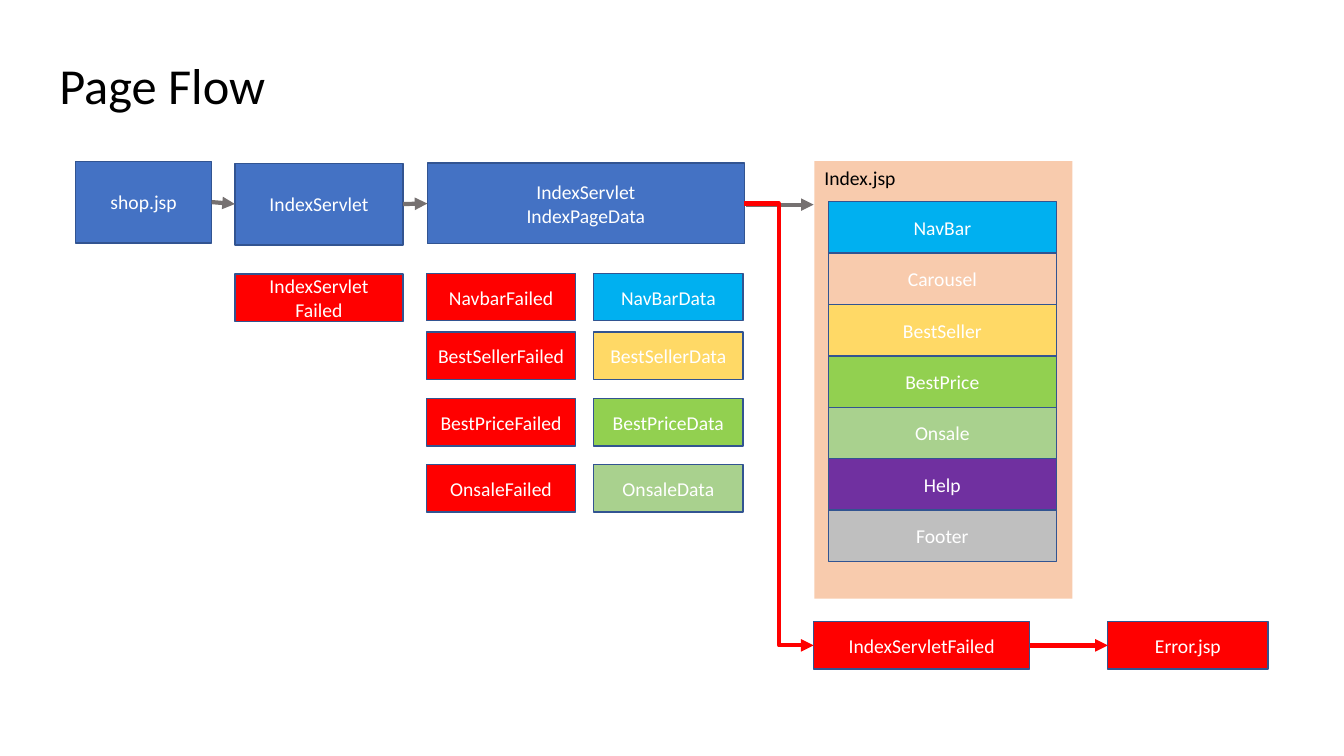
import pptx
import pptx.util
import pptx.dml.color
import pptx.enum.shapes
import pptx.enum.text
import pptx.oxml

Pt = pptx.util.Pt
Align = pptx.enum.text.PP_ALIGN
Anchor = pptx.enum.text.MSO_ANCHOR
Link = pptx.enum.shapes.MSO_CONNECTOR

THEME = {
    "font": "Calibri", "title size": 36, "body size": 14,
    "edge": "325491", "edge width": 1, "arrow width": 3,
    "black": "000000", "white": "FFFFFF", "grey": "767171", "red": "FF0000",
    "blue": "4472C4", "sky": "00B0F0", "peach": "F8CBAD", "yellow": "FFD966",
    "green": "92D050", "sage": "A9D18E", "purple": "7030A0", "silver": "BFBFBF",
}

# name: (lines, fill, (left, top, width, height))
STEPS = {
    "shop": (["shop.jsp"], "blue", (54, 115.2, 97.2, 58.3)),
    "servlet": (["IndexServlet"], "blue", (167.8, 116.6, 120.2, 58.3)),
    "page data": (["IndexServlet", "IndexPageData"], "blue", (305.3, 116.6, 226.4, 57.6)),
    "servlet error": (["IndexServlet", "Failed"], "red", (167.8, 195.8, 120.2, 33.8)),
    "failed": (["IndexServletFailed"], "red", (581.2, 444.1, 154.4, 33.8)),
    "error page": (["Error.jsp"], "red", (791.3, 444.1, 114.5, 33.8)),
}
# failure, data, data colour, top
LOADS = [
    ("NavbarFailed", "NavBarData", "sky", 195.4),
    ("BestSellerFailed", "BestSellerData", "yellow", 237.2),
    ("BestPriceFailed", "BestPriceData", "green", 284.8),
    ("OnsaleFailed", "OnsaleData", "sage", 331.9),
]
SECTIONS = [
    ("NavBar", "sky"), ("Carousel", "peach"), ("BestSeller", "yellow"),
    ("BestPrice", "green"), ("Onsale", "sage"), ("Help", "purple"), ("Footer", "silver"),
]
# start, end, connector kind, colour
ARROWS = [
    ("shop", "servlet", Link.STRAIGHT, "grey"),
    ("servlet", "page data", Link.STRAIGHT, "grey"),
    ("page data", "failed", Link.ELBOW, "red"),
    ("failed", "error page", Link.STRAIGHT, "red"),
]
LOAD_LEFTS, LOAD_SIZE = (304.6, 424.1), (106.6, 33.8)
PANEL = (581.8, 115.2, 184.3, 312.5)
SECTION_LEFT, SECTION_TOP, SECTION_SIZE = 591.8, 144, (162.7, 36.75)
LEFT_SITE, RIGHT_SITE = 1, 3


def color(name):
    """Return a theme colour."""
    return pptx.dml.color.RGBColor.from_string(THEME[name])


def assign(target, values):
    """Set each attribute named in a dict."""
    for name, value in values.items():
        setattr(target, name, value)


def write(box, lines, ink, size, align, anchor):
    """Write one paragraph for each line."""
    assign(box.text_frame, {"word_wrap": True, "vertical_anchor": anchor})
    for index, line in enumerate(lines):
        para = box.text_frame.add_paragraph() if index else box.text_frame.paragraphs[0]
        para.alignment = align
        span = para.add_run()
        span.text = line
        assign(span.font, {"name": THEME["font"], "size": Pt(THEME[size])})
        span.font.color.rgb = color(ink)


def rectangle(slide, place, fill):
    """Draw a filled rectangle without outline or shadow."""
    box = slide.shapes.add_shape(
        pptx.enum.shapes.MSO_SHAPE.RECTANGLE, *map(Pt, place))
    box.shadow.inherit = False
    box.fill.solid()
    box.fill.fore_color.rgb = color(fill)
    box.line.fill.background()
    return box


def block(slide, lines, fill, place):
    """Draw an outlined block with centred white text."""
    box = rectangle(slide, place, fill)
    box.line.color.rgb = color("edge")
    box.line.width = Pt(THEME["edge width"])
    write(box, lines, "white", "body size", Align.CENTER, Anchor.MIDDLE)
    return box


def arrow(slide, kind, ink, points=(0, 0, 0, 0)):
    """Draw a connector with a triangle at its end."""
    link = slide.shapes.add_connector(kind, *map(Pt, points))
    link.line.color.rgb = color(ink)
    link.line.width = Pt(THEME["arrow width"])
    namespace = 'xmlns:a="http://schemas.openxmlformats.org/drawingml/2006/main"'
    link.line._get_or_add_ln().append(
        pptx.oxml.parse_xml(f'<a:tailEnd {namespace} type="triangle"/>'))
    link._element.spPr.append(pptx.oxml.parse_xml(f"<a:effectLst {namespace}/>"))
    return link


def build():
    """Build and save the page flow slide."""
    deck = pptx.Presentation()
    assign(deck, {"slide_width": Pt(960), "slide_height": Pt(540)})
    page = deck.slides.add_slide(deck.slide_layouts[6])

    title = page.shapes.add_textbox(*map(Pt, (35.3, 35.3, 294.5, 51)))
    write(title, ["Page Flow"], "black", "title size", Align.LEFT, Anchor.TOP)

    panel = rectangle(page, PANEL, "peach")
    write(panel, ["Index.jsp"], "black", "body size", Align.LEFT, Anchor.TOP)
    for row, (name, fill) in enumerate(SECTIONS):
        top = SECTION_TOP + row * SECTION_SIZE[1]
        block(page, [name], fill, (SECTION_LEFT, top, *SECTION_SIZE))

    steps = {name: block(page, *step) for name, step in STEPS.items()}
    for failure, data, fill, top in LOADS:
        for left, label, shade in zip(LOAD_LEFTS, (failure, data), ("red", fill)):
            block(page, [label], shade, (left, top, *LOAD_SIZE))

    arrow(page, Link.STRAIGHT, "grey", (532.8, 146.2, 581.2, 146.2))
    for start, end, kind, ink in ARROWS:
        link = arrow(page, kind, ink)
        link.begin_connect(steps[start], RIGHT_SITE)
        link.end_connect(steps[end], LEFT_SITE)

    deck.save("out.pptx")


build()
